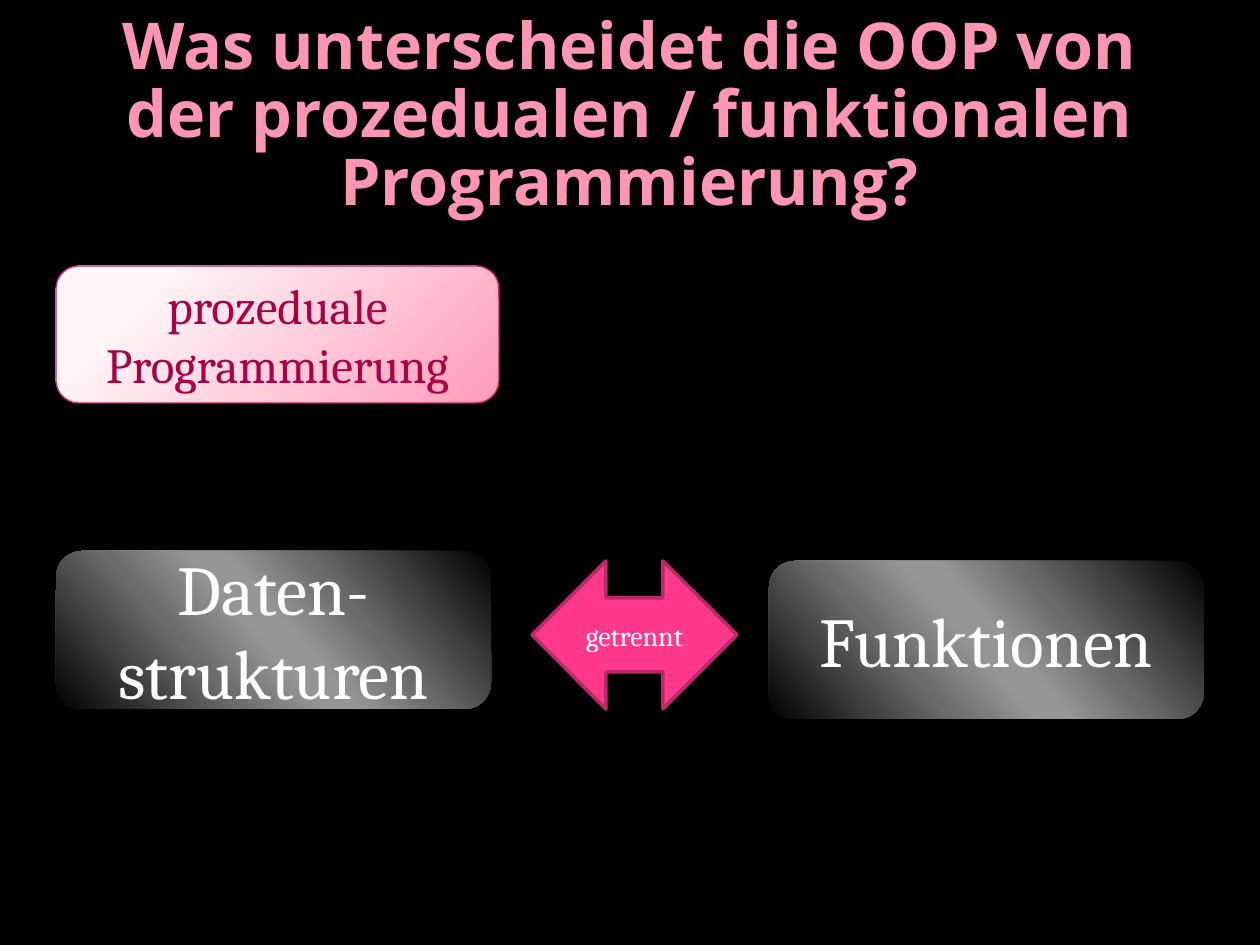
"""Builds the slide comparing OOP with procedural and functional programming."""
from lxml.etree import SubElement
from pptx import Presentation
from pptx.dml.color import RGBColor
from pptx.enum.shapes import MSO_SHAPE
from pptx.enum.text import MSO_ANCHOR, PP_ALIGN
from pptx.oxml.ns import qn
from pptx.util import Emu, Pt

PX_PER_INCH = 126
BLACK = RGBColor(0x00, 0x00, 0x00)
WHITE = RGBColor(0xFF, 0xFF, 0xFF)
TITLE_PINK = RGBColor(0xFF, 0x95, 0xB5)
PALE_PINK = RGBColor(0xFF, 0xF5, 0xF7)
ROSE = RGBColor(0xFF, 0x9C, 0xB9)
CRIMSON = RGBColor(0xC1, 0x21, 0x65)
DARK_RED = RGBColor(0xAB, 0x00, 0x43)
ARROW_PINK = RGBColor(0xFF, 0x38, 0x8C)
ARROW_EDGE = RGBColor(0xBD, 0x29, 0x68)
GREY = RGBColor(0x6B, 0x6B, 0x6B)
LIGHT_GREY = RGBColor(0x95, 0x95, 0x95)

PINK_STOPS = [(20, PALE_PINK), (100, ROSE)]
METAL_STOPS = [(0, BLACK), (33, GREY), (47, LIGHT_GREY),
               (53, LIGHT_GREY), (68, GREY), (100, BLACK)]


def px(*lengths):
    return [Emu(round(length * 914400 / PX_PER_INCH)) for length in lengths]


def write(part, wording, **font_format):
    frame = part.text_frame
    frame.word_wrap = True
    frame.vertical_anchor = MSO_ANCHOR.MIDDLE
    paragraph = frame.paragraphs[0]
    paragraph.alignment = PP_ALIGN.CENTER
    run = paragraph.add_run()
    run.text = wording
    run.font.color.rgb = font_format.pop("color")
    for attribute, value in font_format.items():
        setattr(run.font, attribute, value)
    return paragraph


presentation = Presentation()
presentation.slide_width, presentation.slide_height = px(1260, 945)
slide = presentation.slides.add_slide(presentation.slide_layouts[6])
slide.background.fill.solid()
slide.background.fill.fore_color.rgb = BLACK

title = slide.shapes.add_textbox(*px(63, 38, 1134, 158))
question = write(
    title,
    "Was unterscheidet die OOP von der prozedualen / funktionalen Programmierung?",
    name="Open Sans", size=Pt(36.9), bold=True, color=TITLE_PINK)
question.line_spacing = 0.88

ROUNDED, ARROW = MSO_SHAPE.ROUNDED_RECTANGLE, MSO_SHAPE.LEFT_RIGHT_ARROW
concepts = [
    (ROUNDED, (56, 266, 443, 137), "prozeduale Programmierung", 28, DARK_RED,
     PINK_STOPS, (CRIMSON, 0.75)),
    (ROUNDED, (56, 551, 435, 158), "Daten-strukturen", 40, WHITE, METAL_STOPS, None),
    (ROUNDED, (769, 561, 435, 158), "Funktionen", 40, WHITE, METAL_STOPS, None),
    (ARROW, (532, 561, 205, 148), "getrennt", 16, WHITE, ARROW_PINK, (ARROW_EDGE, 2)),
]
for outline, place, wording, size, color, filling, edge in concepts:
    concept = slide.shapes.add_shape(outline, *px(*place))
    concept.shadow.inherit = False
    write(concept, wording, name="Cambria", size=Pt(size), color=color)

    if edge:
        concept.line.color.rgb, concept.line.width = edge[0], Pt(edge[1])
    else:
        concept.line.fill.background()

    if filling is ARROW_PINK:
        concept.fill.solid()
        concept.fill.fore_color.rgb = filling
        continue

    concept.fill.gradient()
    gradient = concept.element.spPr.find(qn("a:gradFill"))
    for child in list(gradient):
        gradient.remove(child)
    stops = SubElement(gradient, qn("a:gsLst"))
    for percent, shade in filling:
        stop = SubElement(stops, qn("a:gs"), pos=str(percent * 1000))
        SubElement(stop, qn("a:srgbClr"), val=str(shade))
    if filling is METAL_STOPS:
        SubElement(gradient, qn("a:lin"), ang=str(139 * 60000), scaled="0")
    else:
        circle = SubElement(gradient, qn("a:path"), path="circle")
        SubElement(circle, qn("a:fillToRect"),
                   l="-15000", t="-15000", r="115000", b="115000")

presentation.save("out.pptx")
